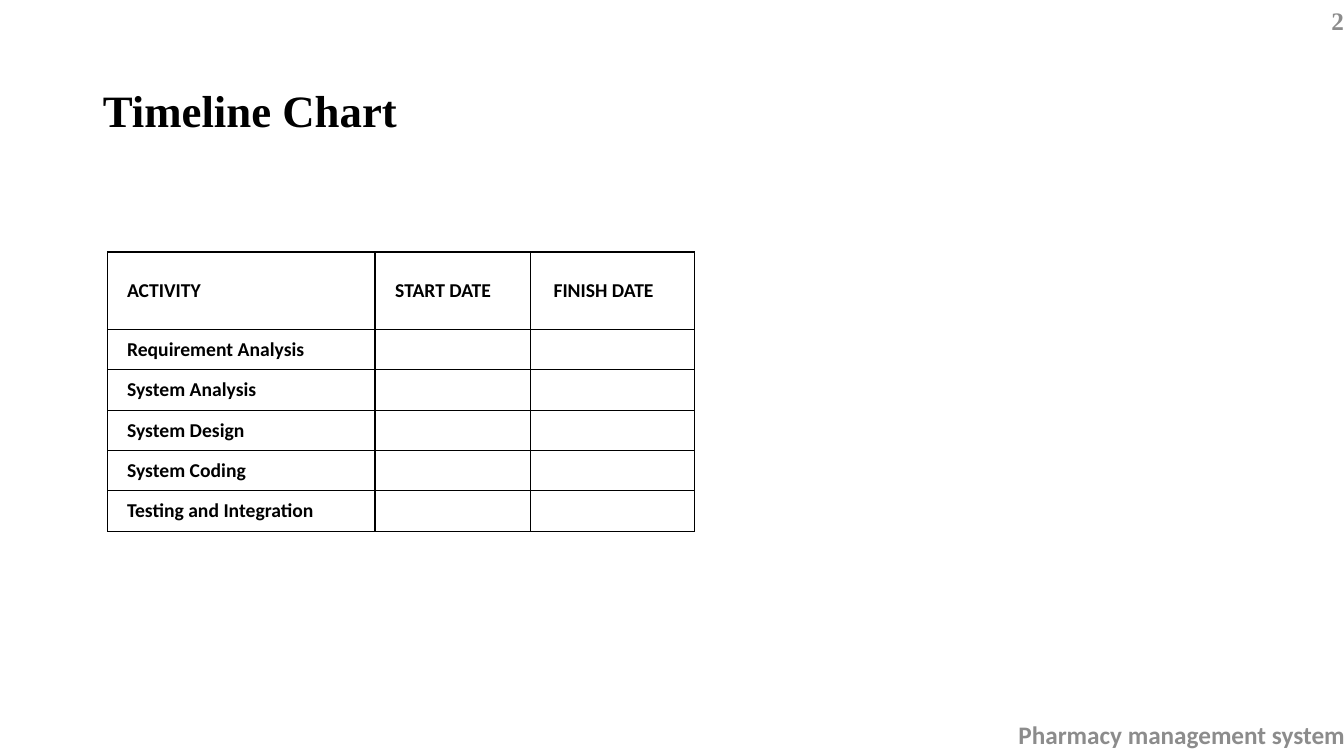
from pptx import Presentation
from pptx.dml.color import RGBColor as Rgb
from pptx.enum.text import MSO_ANCHOR as Anchor, MSO_AUTO_SIZE as Fit, PP_ALIGN as Align
from pptx.oxml import parse_xml
from pptx.oxml.ns import nsdecls
from pptx.util import Inches, Pt

BLACK = Rgb(0x00, 0x00, 0x00)
GREY = Rgb(0x8C, 0x8C, 0x8C)
SERIF, SANS = "Times New Roman", "Calibri"
UNIT = 0.1  # inches in one grid column or row

HEADS = ["ACTIVITY", "START DATE", "FINISH DATE"]
TASKS = ["Requirement Analysis", "System Analysis", "System Design",
         "System Coding", "Testing and Integration"]
WIDTHS = [26.5, 15.4, 16.3]
HEIGHTS = [7.7] + [4] * len(TASKS)
INDENTS = [1.9, 2, 2.3]


def grid(*counts):
    """Turn counts of grid columns or rows into lengths."""
    return [Inches(n * UNIT) for n in counts]


def write(frame, text, font=SANS, size=18, color=BLACK, align=Align.LEFT, space=1.0):
    frame.word_wrap = True
    par = frame.paragraphs[0]
    par.alignment, par.line_spacing = align, space
    run = par.add_run()
    run.text = text
    style = run.font
    style.name, style.size, style.bold = font, Pt(size), True
    style.color.rgb = color


def edge(cell):
    """Draw a thin black border on all four sides of a cell."""
    props = cell._tc.get_or_add_tcPr()
    for spot, side in enumerate(("lnL", "lnR", "lnT", "lnB")):
        props.insert(spot, parse_xml(
            f'<a:{side} {nsdecls("a")} w="{Pt(1)}"><a:solidFill>'
            f'<a:srgbClr val="{BLACK}"/></a:solidFill></a:{side}>'))


class Deck:
    def __init__(self):
        self.file = Presentation()
        self.file.slide_width, self.file.slide_height = Inches(13.33), Inches(7.5)
        self.slide = self.file.slides.add_slide(self.file.slide_layouts[5])

    def title(self, text, *box):
        shape = self.slide.shapes.title
        shape.left, shape.top, shape.width, shape.height = grid(*box)
        frame = shape.text_frame
        frame.auto_size, frame.vertical_anchor = Fit.NONE, Anchor.MIDDLE
        write(frame, text, font=SERIF, size=32, space=0.9)

    def label(self, text, *box, font=SANS):
        frame = self.slide.shapes.add_textbox(*grid(*box)).text_frame
        frame.vertical_anchor = Anchor.MIDDLE
        frame.margin_right = 0
        write(frame, text, font=font, color=GREY, align=Align.RIGHT)

    def table(self, rows, left, top):
        box = grid(left, top, sum(WIDTHS), sum(HEIGHTS))
        table = self.slide.shapes.add_table(len(rows), len(WIDTHS), *box).table
        table.first_row = table.horz_banding = False
        for col, width in zip(table.columns, grid(*WIDTHS)):
            col.width = width
        for row, height, texts in zip(table.rows, grid(*HEIGHTS), rows):
            row.height = height
            for cell, text, indent in zip(row.cells, texts, grid(*INDENTS)):
                cell.margin_left = indent
                cell.margin_right = cell.margin_top = cell.margin_bottom = 0
                cell.vertical_anchor = Anchor.MIDDLE
                cell.fill.background()
                edge(cell)
                if text:
                    write(cell.text_frame, text, size=14)


def main():
    deck = Deck()
    deck.label("2", 88.3, 0, 45, 4, font=SERIF)
    deck.label("Pharmacy management system", 88.4, 70.9, 45, 4)
    deck.table([HEADS] + [[task, "", ""] for task in TASKS], 10.7, 25)
    deck.title("Timeline Chart", 9.2, 4, 115, 14.5)
    deck.file.save("out.pptx")


if __name__ == "__main__":
    main()
